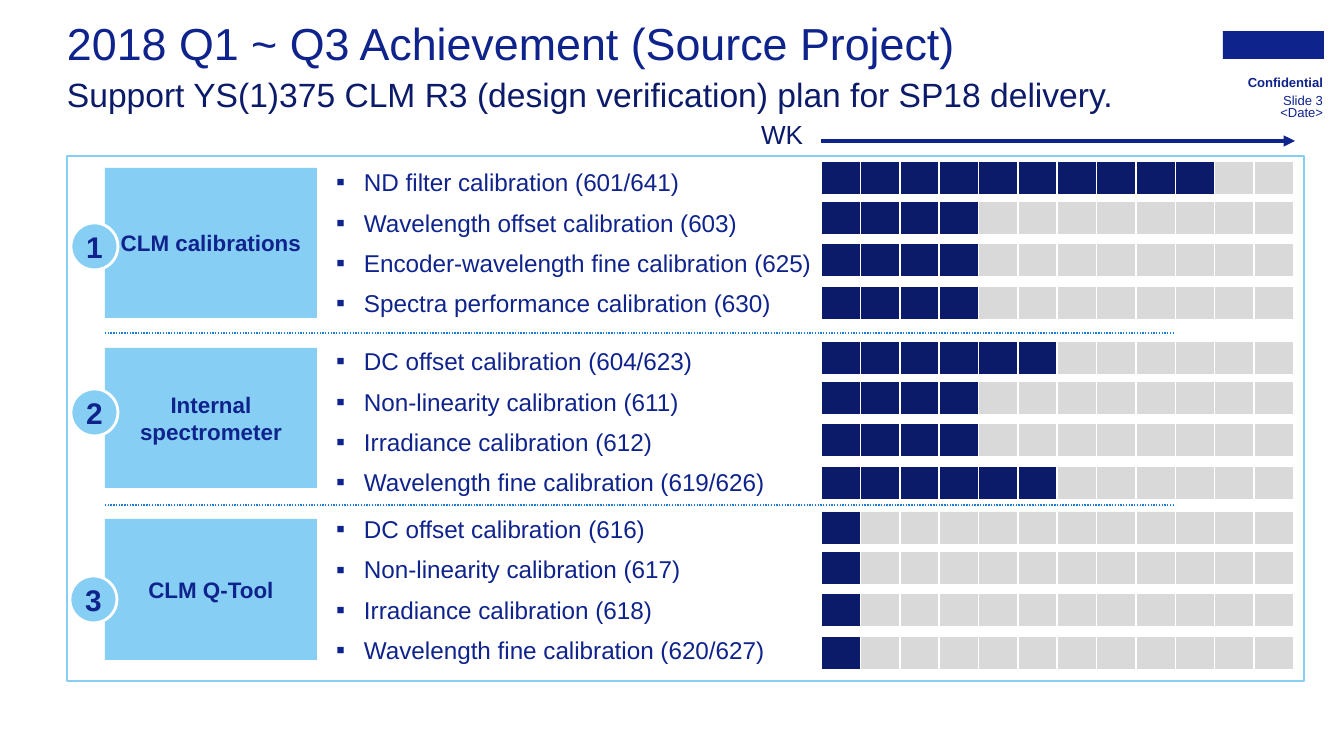
import pptx
import pptx.util
import pptx.dml.color
import pptx.enum.dml
import pptx.enum.shapes
import pptx.enum.text
import pptx.oxml.ns
from lxml import etree

SHAPE = pptx.enum.shapes.MSO_SHAPE
ALIGN = pptx.enum.text.PP_ALIGN
ANCHOR = pptx.enum.text.MSO_ANCHOR
Pt = pptx.util.Pt
qn = pptx.oxml.ns.qn
COLORS = {k: pptx.dml.color.RGBColor.from_string(v) for k, v in {
    "ink": "0F238C", "navy": "0B1A69", "sky": "86CEF4",
    "rule": "1C7DDB", "grey": "D9D9D9", "white": "FFFFFF"}.items()}
SCALE = 9144000 / 1344


def px(*lengths):
    return [pptx.util.Emu(round(n * SCALE)) for n in lengths]


def write(sp, lines, size, color="ink", bold=False, wrap=True, anchor=ANCHOR.MIDDLE,
          margins=(0, 0), **para):
    tf = sp.text_frame
    mx, my = px(*margins)
    frame = {"margin_left": mx, "margin_right": mx, "margin_top": my, "margin_bottom": my,
             "vertical_anchor": anchor, "word_wrap": wrap,
             "auto_size": pptx.enum.text.MSO_AUTO_SIZE.NONE}
    for name, value in frame.items():
        setattr(tf, name, value)
    for i, line in enumerate(lines):
        p = tf.add_paragraph() if i else tf.paragraphs[0]
        for name, value in {"alignment": ALIGN.LEFT, "space_before": Pt(0), **para}.items():
            setattr(p, name, value)
        r = p.add_run()
        r.text = line
        for name, value in {"name": "Arial", "size": Pt(size), "bold": bold}.items():
            setattr(r.font, name, value)
        r.font.color.rgb = COLORS[color]


prs = pptx.Presentation()
prs.slide_width, prs.slide_height = px(1344, 756)
s = prs.slides.add_slide(prs.slide_layouts.get_by_name("Comparison"))
subtitle, *lists = [sp for sp in s.placeholders if sp.placeholder_format.idx in (1, 2, 3, 4)]

# Title and subtitle
for sp, text, box, size, color in [
        (s.shapes.title, "2018 Q1 ~ Q3 Achievement (Source Project)", (67, 16, 1118, 48), 24, "ink"),
        (subtitle, "Support YS(1)375 CLM R3 (design verification) plan for SP18 delivery.",
         (67, 74, 1056, 40), 18, "navy")]:
    sp.left, sp.top, sp.width, sp.height = px(*box)
    write(sp, [text], size, color, anchor=ANCHOR.TOP)

# Logo block and corner notes
logo = s.shapes.add_shape(SHAPE.RECTANGLE, *px(1223, 31, 101, 28))
logo.shadow.inherit = False
logo.fill.solid()
logo.fill.fore_color.rgb = COLORS["ink"]
logo.line.fill.background()
for text, top, bold, spacing in [("Confidential", 75, True, None), ("Slide 3", 94, False, Pt(8)),
                                 ("<Date>", 107, False, Pt(7))]:
    sp = s.shapes.add_textbox(*px(1212, top, 111, 14))
    write(sp, [text], 7, bold=bold, alignment=ALIGN.RIGHT, line_spacing=spacing)

# Frame
frame = s.shapes.add_shape(SHAPE.RECTANGLE, *px(67, 156, 1237, 525))
frame.shadow.inherit = False
frame.fill.background()
frame.line.color.rgb = COLORS["sky"]
frame.line.width = Pt(1.25)

# Dividers and week arrow
for x1, x2, y, color, width, arrow in [(105, 1175, 333, "rule", 0.75, False),
                                       (105, 1175, 505, "rule", 0.75, False),
                                       (821, 1295, 141, "ink", 2, True)]:
    line = s.shapes.add_connector(pptx.enum.shapes.MSO_CONNECTOR.STRAIGHT, *px(x1, y, x2, y))
    line.line.color.rgb = COLORS[color]
    line.line.width = Pt(width)
    if arrow:
        etree.SubElement(line.line._get_or_add_ln(), qn("a:tailEnd"), type="triangle")
    else:
        line.line.dash_style = pptx.enum.dml.MSO_LINE.ROUND_DOT
    etree.SubElement(line._element.spPr, qn("a:effectLst"))
write(s.shapes.add_textbox(*px(761, 118, 43, 32)), ["WK"], 14, "navy",
      wrap=False, anchor=ANCHOR.TOP)

# Groups: heading, heading box, list box, circle, first bar, (task, weeks)
GROUPS = [
    ("CLM calibrations", (105, 168, 212, 150), (336, 159, 813, 167), (71, 223), 161, [
        ("ND filter calibration (601/641)", 10),
        ("Wavelength offset calibration (603)", 4),
        ("Encoder-wavelength fine calibration (625)", 4),
        ("Spectra performance calibration (630)", 4)]),
    ("Internal spectrometer", (105, 348, 212, 140), (336, 331, 849, 181), (71, 389), 341, [
        ("DC offset calibration (604/623)", 6),
        ("Non-linearity calibration (611)", 4),
        ("Irradiance calibration (612)", 4),
        ("Wavelength fine calibration (619/626)", 6)]),
    ("CLM Q-Tool", (105, 519, 212, 141), (336, 510, 849, 159), (70, 576), 511, [
        ("DC offset calibration (616)", 1),
        ("Non-linearity calibration (617)", 1),
        ("Irradiance calibration (618)", 1),
        ("Wavelength fine calibration (620/627)", 1)])]
BAR_OFFSETS = [0, 40, 82, 125]
WEEKS = 12

for number, (heading, box, list_box, circle, bar_top, tasks) in enumerate(GROUPS, 1):
    # Heading and numbered circle
    sp = s.shapes.add_shape(SHAPE.RECTANGLE, *px(*box))
    dot = s.shapes.add_shape(SHAPE.OVAL, *px(*circle, 47, 47))
    for shape in (sp, dot):
        shape.shadow.inherit = False
        shape.fill.solid()
        shape.fill.fore_color.rgb = COLORS["sky"]
    sp.line.fill.background()
    dot.line.color.rgb = COLORS["white"]
    dot.line.width = Pt(1.5)
    write(sp, [heading], 12, bold=True, margins=(8, 1), alignment=ALIGN.CENTER)
    write(dot, [str(number)], 16, bold=True, wrap=False, alignment=ALIGN.CENTER)

    # Task list
    sp = lists[number - 1]
    sp.left, sp.top, sp.width, sp.height = px(*list_box)
    write(sp, [task for task, _ in tasks], 13, level=1, space_after=Pt(6))
    indent = px(28)[0]
    for p in sp.text_frame.paragraphs:
        pPr = p._p.get_or_add_pPr()
        pPr.set("marL", str(indent))
        pPr.set("indent", str(-indent))
        etree.SubElement(pPr, qn("a:buSzPct"), val="105000")
        etree.SubElement(pPr, qn("a:buFont"), typeface="Arial")
        etree.SubElement(pPr, qn("a:buChar"), char="\u25aa")

    # Week bars
    for offset, (_, done) in zip(BAR_OFFSETS, tasks):
        table = s.shapes.add_table(1, WEEKS, *px(821, bar_top + offset, 473, 34)).table
        table.first_row = table.horz_banding = False
        for week, cell in enumerate(table.iter_cells()):
            cell.margin_left = cell.margin_right = cell.margin_top = cell.margin_bottom = 0
            etree.SubElement(cell.text_frame.paragraphs[0]._p, qn("a:endParaRPr"), sz="800")
            tcPr = cell._tc.get_or_add_tcPr()
            for side in ("lnL", "lnR", "lnT", "lnB"):
                ln = etree.SubElement(tcPr, qn("a:" + side), w=str(Pt(1)))
                fill = etree.SubElement(ln, qn("a:solidFill"))
                etree.SubElement(fill, qn("a:srgbClr"), val=str(COLORS["white"]))
            cell.fill.solid()
            cell.fill.fore_color.rgb = COLORS["navy" if week < done else "grey"]

prs.save("out.pptx")
